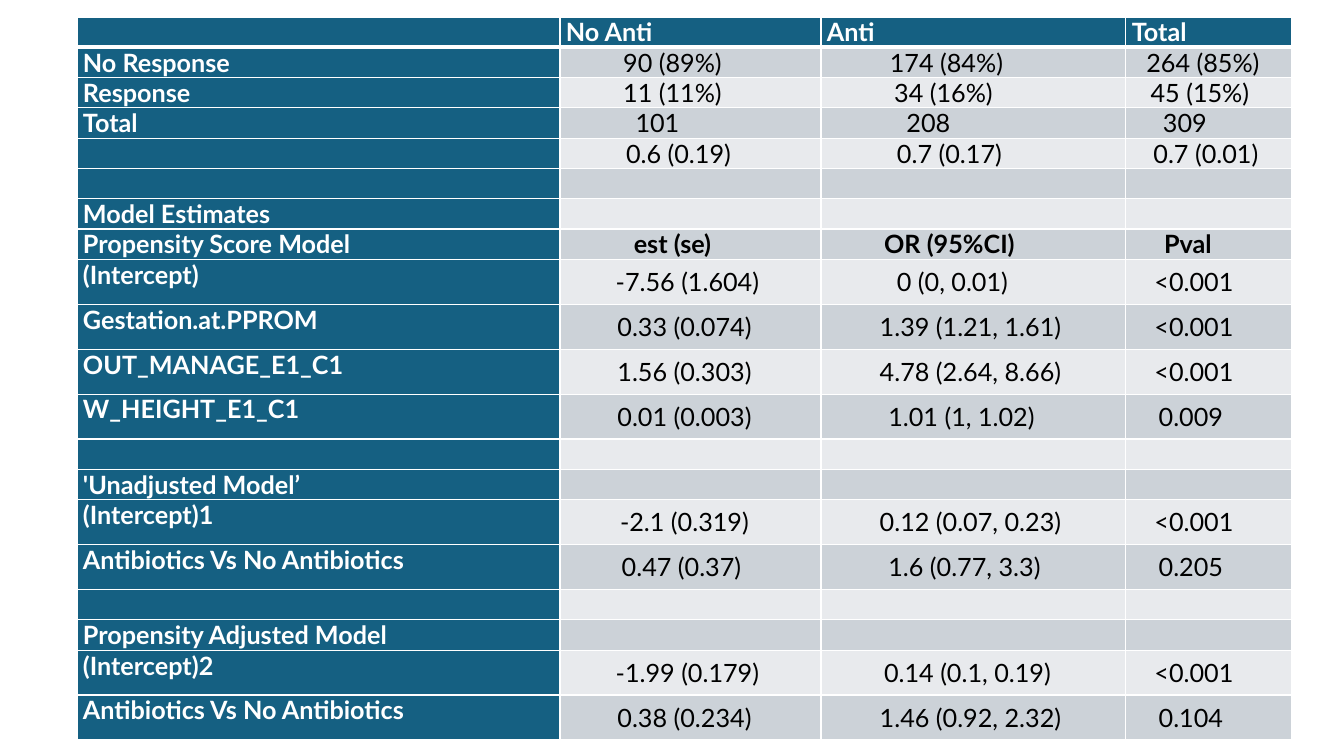
import lxml.etree
import pptx
import pptx.dml.color
import pptx.enum.text
import pptx.oxml.ns
import pptx.util

PX = 914400 / 100.8
WHITE = pptx.dml.color.RGBColor(0xFF, 0xFF, 0xFF)
BLACK = pptx.dml.color.RGBColor(0x00, 0x00, 0x00)
TEAL = pptx.dml.color.RGBColor(0x15, 0x60, 0x82)
BANDS = (pptx.dml.color.RGBColor(0xE8, 0xEA, 0xED),
         pptx.dml.color.RGBColor(0xCC, 0xD2, 0xD8))

SHORT, TALL = 30, 45
COLUMN_WIDTHS = (483, 261, 305, 166)
FIELD_CHARS = (0, 14, 18, 11)  # figures are left-set in fields this many characters wide
SPACE_WIDTH = 6
CELL_INSET = 6
SUBHEADING_ROW = 7

RESULTS = [
    (SHORT, "", "No Anti", "Anti", "Total"),
    (SHORT, "No Response", "90 (89%)", "174 (84%)", "264 (85%)"),
    (SHORT, "Response", "11 (11%)", "34 (16%)", "45 (15%)"),
    (SHORT, "Total", "101", "208", "309"),
    (SHORT, "", "0.6 (0.19)", "0.7 (0.17)", "0.7 (0.01)"),
    (SHORT, "", "", "", ""),
    (SHORT, "Model Estimates", "", "", ""),
    (SHORT, "Propensity Score Model", "est (se)", "OR (95%CI)", "Pval"),
    (TALL, "(Intercept)", "-7.56 (1.604)", "0 (0, 0.01)", "<0.001"),
    (TALL, "Gestation.at.PPROM", "0.33 (0.074)", "1.39 (1.21, 1.61)", "<0.001"),
    (TALL, "OUT_MANAGE_E1_C1", "1.56 (0.303)", "4.78 (2.64, 8.66)", "<0.001"),
    (TALL, "W_HEIGHT_E1_C1", "0.01 (0.003)", "1.01 (1, 1.02)", "0.009"),
    (SHORT, "", "", "", ""),
    (SHORT, "'Unadjusted Model’", "", "", ""),
    (TALL, "(Intercept)1", "-2.1 (0.319)", "0.12 (0.07, 0.23)", "<0.001"),
    (TALL, "Antibiotics Vs No Antibiotics", "0.47 (0.37)", "1.6 (0.77, 3.3)", "0.205"),
    (SHORT, "", "", "", ""),
    (SHORT, "Propensity Adjusted Model", "", "", ""),
    (TALL, "(Intercept)2", "-1.99 (0.179)", "0.14 (0.1, 0.19)", "<0.001"),
    (TALL, "Antibiotics Vs No Antibiotics", "0.38 (0.234)", "1.46 (0.92, 2.32)", "0.104"),
]


def px(length):
    return pptx.util.Emu(round(length * PX))


def add_child(parent, tag, **attributes):
    return lxml.etree.SubElement(parent, pptx.oxml.ns.qn(tag), attributes)


class SlideBuilder:
    font = "Lato"
    size = pptx.util.Pt(18)

    def __init__(self, presentation):
        self.slide = presentation.slides.add_slide(presentation.slide_layouts[6])

    def table(self, left, top, widths, rows):
        heights = [height for height, *_ in rows]
        table = self.slide.shapes.add_table(
            len(rows), len(widths), px(left), px(top),
            px(sum(widths)), px(sum(heights))).table
        for column, width in zip(table.columns, widths):
            column.width = px(width)
        for row_index, (height, *texts) in enumerate(rows):
            table.rows[row_index].height = px(height)
            for column_index, text in enumerate(texts):
                self.cell(table.cell(row_index, column_index), row_index, column_index, text)

    def cell(self, cell, row_index, column_index, text):
        heading = row_index == 0 or column_index == 0
        self.borders(cell, row_index)
        cell.fill.solid()
        cell.fill.fore_color.rgb = TEAL if heading else BANDS[row_index % 2]
        cell.margin_left = cell.margin_right = px(CELL_INSET)
        cell.margin_top = cell.margin_bottom = 0
        paragraph = cell.text_frame.paragraphs[0]
        if not text:
            self.empty_line(paragraph)
            return
        if not heading:
            paragraph.alignment = pptx.enum.text.PP_ALIGN.CENTER
            cell.vertical_anchor = pptx.enum.text.MSO_ANCHOR.MIDDLE
            unused = FIELD_CHARS[column_index] - len(text)
            cell.margin_right = px(CELL_INSET + unused * SPACE_WIDTH)
        run = paragraph.add_run()
        run.text = text
        run.font.name = self.font
        run.font.size = self.size
        run.font.bold = heading or row_index == SUBHEADING_ROW
        run.font.color.rgb = WHITE if heading else BLACK

    def empty_line(self, paragraph):
        """Give a blank cell the line height of the table's font."""
        end = add_child(paragraph._p, "a:endParaRPr", sz=str(self.size.centipoints))
        add_child(end, "a:latin", typeface=self.font)

    def borders(self, cell, row_index):
        """Draw white cell edges, with a heavier rule under the header row."""
        points = {"L": 1, "R": 1,
                  "T": 3 if row_index == 1 else 1,
                  "B": 3 if row_index == 0 else 1}
        properties = cell._tc.get_or_add_tcPr()
        for side, width in points.items():
            line = add_child(properties, f"a:ln{side}", w=str(pptx.util.Pt(width)))
            add_child(add_child(line, "a:solidFill"), "a:srgbClr", val=str(WHITE))


def main():
    presentation = pptx.Presentation()
    presentation.slide_width = px(1344)
    presentation.slide_height = px(756)
    SlideBuilder(presentation).table(77, 17, COLUMN_WIDTHS, RESULTS)
    presentation.save("out.pptx")


if __name__ == "__main__":
    main()
